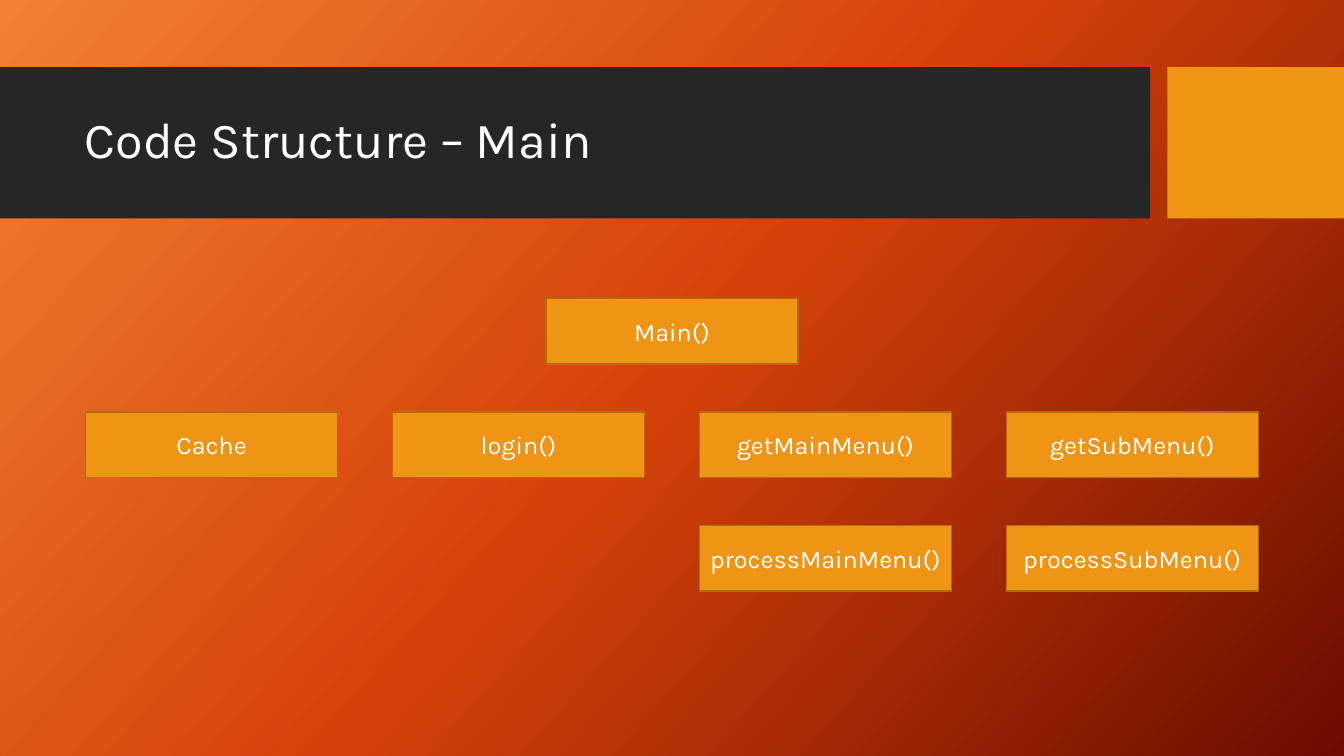
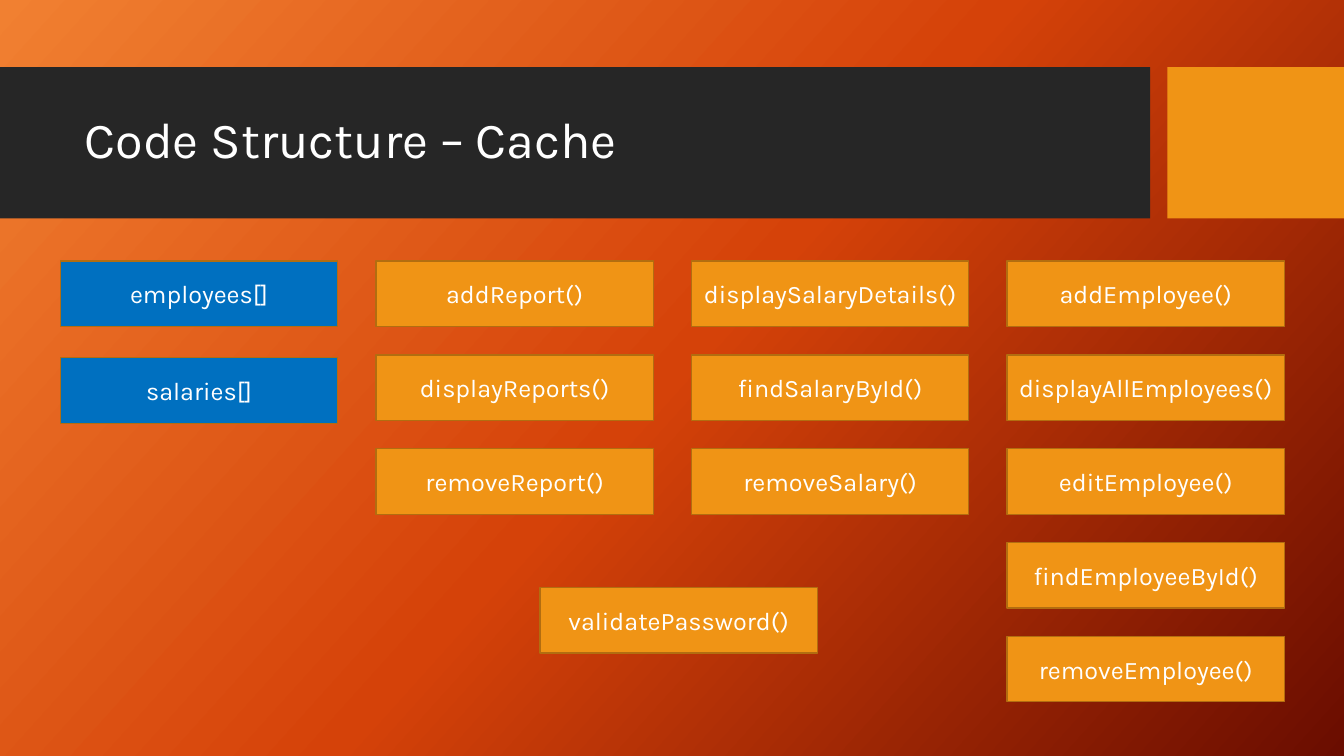
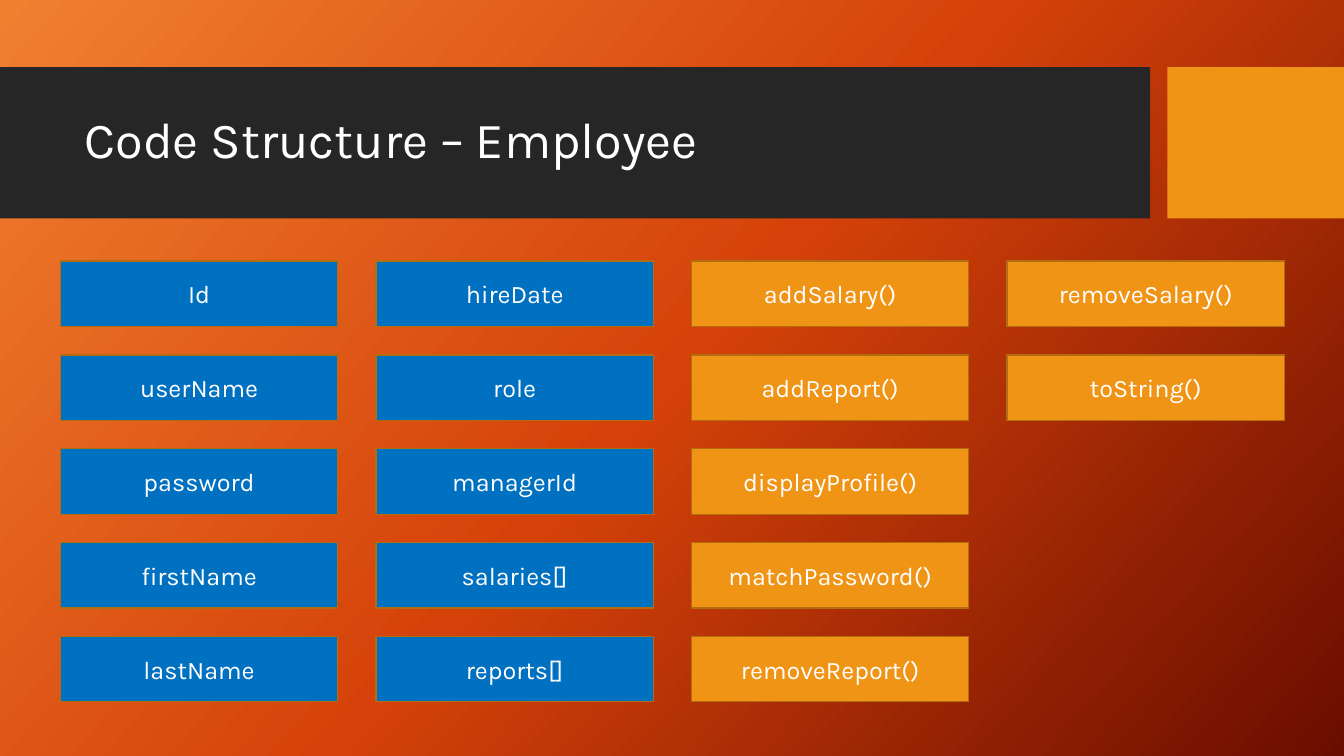
from copy import deepcopy
from dataclasses import dataclass

from pptx import Presentation
from pptx.dml.color import RGBColor
from pptx.enum.shapes import MSO_SHAPE
from pptx.enum.text import MSO_ANCHOR, MSO_AUTO_SIZE, PP_ALIGN
from pptx.oxml.ns import qn
from pptx.util import Pt


@dataclass(frozen=True)
class Theme:
    font: str = "Karla"
    title_size: int = 36
    box_size: int = 18
    text: str = "FFFFFF"
    band: str = "262626"
    method: str = "F09415"
    field: str = "0070C0"
    outline: str = "B26D10"
    gradient: tuple = ("F18031", "D54209", "6A0D00")
    gradient_angle: int = 42


@dataclass(frozen=True)
class Grid:
    left: float
    top: float
    col_pitch: float
    row_pitch: float
    width: float
    height: float = 46.8

    def cell(self, col, row):
        return (self.left + col * self.col_pitch, self.top + row * self.row_pitch,
                self.width, self.height)


THEME = Theme()
TREE = Grid(61.2, 213.3, 219.2, 81, 180)
MEMBERS = Grid(43.2, 186.5, 225.4, 67, 198)
TITLE_ONLY = 5


def rgb(color):
    return RGBColor.from_string(color)


def paint_background(master):
    fill = master.background.fill
    fill.gradient()
    fill.gradient_angle = 360 - THEME.gradient_angle
    stops = master.element.find(".//" + qn("a:gsLst"))
    stops.append(deepcopy(stops[-1]))
    last = len(THEME.gradient) - 1
    for i, (stop, color) in enumerate(zip(fill.gradient_stops, THEME.gradient)):
        stop.position = i / last
        stop.color.rgb = rgb(color)


def format_text(tf, size, align):
    tf.word_wrap = True
    tf.auto_size = MSO_AUTO_SIZE.NONE
    tf.vertical_anchor = MSO_ANCHOR.MIDDLE
    for p in tf.paragraphs:
        p.alignment = align
        for r in p.runs:
            r.font.name = THEME.font
            r.font.size = Pt(size)
            r.font.color.rgb = rgb(THEME.text)


def add_rect(s, bounds, color):
    sp = s.shapes.add_shape(MSO_SHAPE.RECTANGLE, *map(Pt, bounds))
    sp.shadow.inherit = False
    sp.fill.solid()
    sp.fill.fore_color.rgb = rgb(color)
    sp.line.fill.background()
    return sp


def add_box(s, bounds, text, color):
    sp = add_rect(s, bounds, color)
    sp.line.color.rgb = rgb(THEME.outline)
    sp.line.width = Pt(1)
    sp.text_frame.text = text
    format_text(sp.text_frame, THEME.box_size, PP_ALIGN.CENTER)


def add_column(s, grid, col, names, color, first_row=0):
    for row, name in enumerate(names, first_row):
        add_box(s, grid.cell(col, row), name, color)


def move_bands_to_layout(s):
    bands = (((0, 48, 821.5, 108), THEME.band),
             ((833.8, 48, 126.2, 108), THEME.method))
    for i, (bounds, color) in enumerate(bands):
        sp = add_rect(s, bounds, color)
        sp.element.nvSpPr.cNvPr.set("id", str(101 + i))
        s.slide_layout.shapes.element.insert(2 + i, sp.element)


def add_slide(prs, title):
    s = prs.slides.add_slide(prs.slide_layouts[TITLE_ONLY])
    sp = s.shapes.title
    sp.left, sp.top, sp.width, sp.height = map(Pt, (53.3, 59, 756.7, 85))
    sp.text_frame.text = title
    format_text(sp.text_frame, THEME.title_size, PP_ALIGN.LEFT)
    sp.text_frame.paragraphs[0].line_spacing = 0.9
    return s


def add_main_slide(prs):
    s = add_slide(prs, "Code Structure – Main")
    move_bands_to_layout(s)
    add_box(s, TREE.cell(1.5, 0), "Main()", THEME.method)
    children = (("Cache",), ("login()",),
                ("getMainMenu()", "processMainMenu()"),
                ("getSubMenu()", "processSubMenu()"))
    for col, names in enumerate(children):
        add_column(s, TREE, col, names, THEME.method, first_row=1)


def add_cache_slide(prs):
    s = add_slide(prs, "Code Structure – Cache")
    add_box(s, MEMBERS.cell(0, 0), "employees[]", THEME.field)
    add_box(s, MEMBERS.cell(0, 1.03), "salaries[]", THEME.field)
    methods = (("addReport()", "displayReports()", "removeReport()"),
               ("displaySalaryDetails()", "findSalaryById()", "removeSalary()"),
               ("addEmployee()", "displayAllEmployees()", "editEmployee()",
                "findEmployeeById()", "removeEmployee()"))
    for col, names in enumerate(methods, 1):
        add_column(s, MEMBERS, col, names, THEME.method)
    add_box(s, MEMBERS.cell(1.52, 3.48), "validatePassword()", THEME.method)


def add_employee_slide(prs):
    s = add_slide(prs, "Code Structure – Employee")
    columns = (
        (THEME.field, ("Id", "userName", "password", "firstName", "lastName")),
        (THEME.field, ("hireDate", "role", "managerId", "salaries[]", "reports[]")),
        (THEME.method, ("addSalary()", "addReport()", "displayProfile()",
                        "matchPassword()", "removeReport()")),
        (THEME.method, ("removeSalary()", "toString()")),
    )
    for col, (color, names) in enumerate(columns):
        add_column(s, MEMBERS, col, names, color)


def main():
    prs = Presentation()
    prs.slide_width, prs.slide_height = Pt(960), Pt(540)
    paint_background(prs.slide_master)
    add_main_slide(prs)
    add_cache_slide(prs)
    add_employee_slide(prs)
    prs.save("out.pptx")


main()
